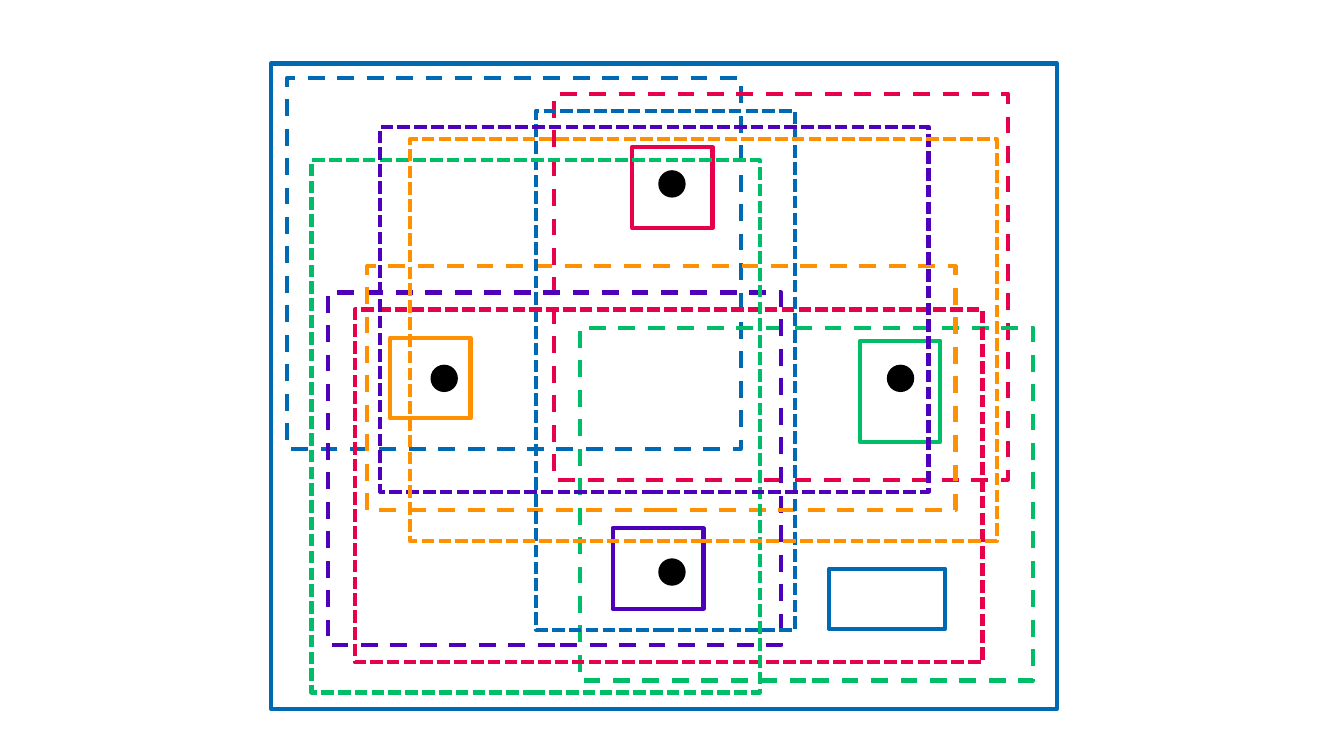
from pptx import Presentation
from pptx.dml.color import RGBColor
from pptx.enum.dml import MSO_LINE
from pptx.enum.shapes import MSO_SHAPE
from pptx.util import Cm, Pt

BLUE, RED, GREEN, PURPLE, ORANGE = "0069B3", "E7004A", "00BD67", "4E00BB", "FF9000"
DOT_SIZE = 0.69


def rgb(color):
    return RGBColor.from_string(color)


def add_plain(shapes, kind, box):
    """Add a shape without shadow; box is left, top, width, height in cm."""
    sp = shapes.add_shape(kind, *(Cm(v) for v in box))
    sp.shadow.inherit = False
    return sp


prs = Presentation()
prs.slide_width, prs.slide_height = Cm(33.87), Cm(19.05)
s = prs.slides.add_slide(prs.slide_layouts[6])
diagram = s.shapes.add_group_shape().shapes

# Points: right, left, top, bottom
for left, top in [(22.35, 9.19), (10.85, 9.19), (16.59, 4.29), (16.59, 14.07)]:
    dot = add_plain(diagram, MSO_SHAPE.OVAL, (left, top, DOT_SIZE, DOT_SIZE))
    dot.fill.solid()
    dot.fill.fore_color.rgb = rgb("000000")
    dot.line.fill.background()

# Regions by line style, from back to front
solid = [
    (BLUE, (6.83, 1.6, 19.81, 16.26)),
    (RED, (15.93, 3.71, 2.03, 2.03)),
    (GREEN, (21.67, 8.59, 2.03, 2.54)),
    (PURPLE, (15.44, 13.31, 2.29, 2.03)),
    (ORANGE, (9.83, 8.51, 2.03, 2.03)),
]
long_dashed = [
    (BLUE, (7.24, 1.96, 11.43, 9.35)),
    (RED, (13.97, 2.36, 11.43, 9.73)),
    (GREEN, (14.61, 8.26, 11.43, 8.89)),
    (PURPLE, (8.26, 7.37, 11.43, 8.89)),
    (ORANGE, (9.25, 6.71, 14.83, 6.15)),
]
short_dashed = [
    (BLUE, (13.51, 2.79, 6.53, 13.08)),
    (RED, (8.94, 7.8, 15.82, 8.89)),
    (GREEN, (7.85, 4.04, 11.3, 13.41)),
    (PURPLE, (9.58, 3.2, 13.82, 9.19)),
    (ORANGE, (10.34, 3.51, 14.78, 10.13)),
]
front = [(BLUE, (20.9, 14.33, 2.92, 1.52))]

for dash, regions in [
    (None, solid),
    (MSO_LINE.DASH, long_dashed),
    (MSO_LINE.SQUARE_DOT, short_dashed),
    (None, front),
]:
    for color, box in regions:
        region = add_plain(diagram, MSO_SHAPE.RECTANGLE, box)
        region.fill.background()
        region.line.color.rgb = rgb(color)
        region.line.width = Pt(3)
        region.line.dash_style = dash

prs.save("out.pptx")
